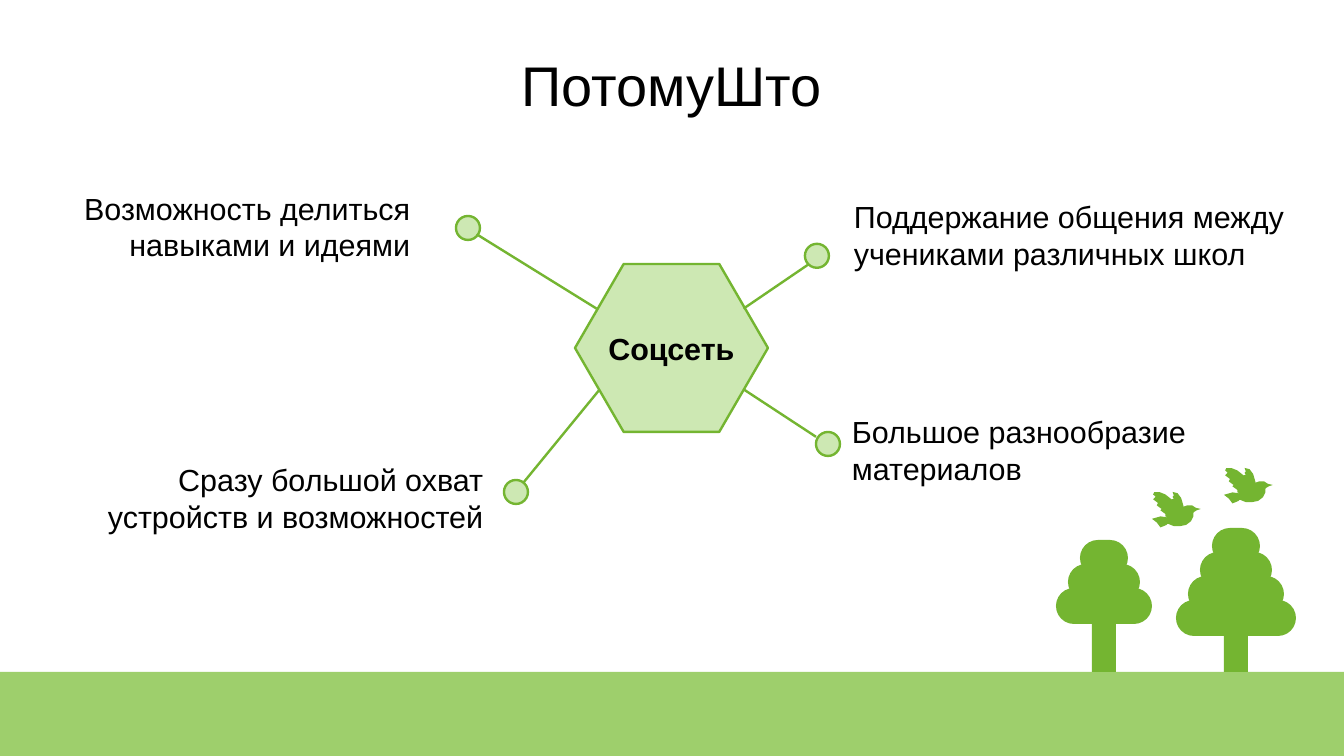
"""Build the slide on why a school social network is useful."""
from typing import NamedTuple

from lxml.etree import SubElement
from pptx import Presentation
from pptx.dml.color import RGBColor as Rgb
from pptx.enum.shapes import MSO_CONNECTOR as Link, MSO_SHAPE as Preset
from pptx.enum.text import MSO_ANCHOR as Anchor, PP_ALIGN as Align
from pptx.oxml.ns import qn
from pptx.shapes.autoshape import Shape
from pptx.slide import Slide
from pptx.text.text import TextFrame
from pptx.util import Cm, Pt

COLORS = {"ground": "9ECF6C", "leaf": "74B531", "pale": "CDE8B3", "text": "000000"}
FONT = "Arial"
OUTLINE = 0.05
DOT = 0.5
TRUNK_TOP, TRUNK_WIDTH, GROUND_TOP = 11.5, 0.5, 14
TIER_HEIGHT, TIER_STEP = 0.75, 0.5
WIDTH, HEIGHT = 28, 15.75
BIRD_UNITS_PER_CM = 39.37

Point = tuple[float, float]


class Area(NamedTuple):
    left: float
    top: float
    width: float
    height: float


class Tree(NamedTuple):
    center: float
    top: float
    tiers: int


class Reason(NamedTuple):
    text: str
    area: Area
    align: Align
    dot: Point
    dot_end: Point
    hub_end: Point


TREES = [Tree(25.75, 11, 4), Tree(23, 11.25, 3)]
BIRDS: list[Point] = [(24, 10.25), (25.5, 9.75)]
FAR_WING: list[Point] = [
    (24, 5), (21, 1), (17, 0), (18, 3), (17, 4), (18, 6), (16, 6), (18, 11), (20, 15),
    (25, 17), (26, 12)]
BODY: list[Point] = [
    (29, 11), (26, 12), (24, 15), (19, 10), (16, 6), (11, 2), (6, 0), (2, 0), (1, 2),
    (3, 4), (1, 6), (5, 9), (4, 11), (8, 14), (7, 15), (11, 18), (11, 20), (14, 21),
    (7, 20), (0, 22), (4, 25), (7, 29), (12, 27), (13, 26), (18, 28), (23, 28), (28, 27),
    (32, 24), (34, 20), (34, 17), (36, 15), (36, 13), (33, 11)]
BEAK: list[Point] = [(36, 13), (35, 13), (35, 16), (37, 15), (39.5, 14)]
HUB = Area(11.98, 5.5, 4.02, 3.5)
REASONS = [
    Reason("Поддержание общения между\nучениками различных школ",
           Area(17.54, 4, 9.7, 1.68), Align.LEFT, (17.02, 5.33), (16.84, 5.51), (15.49, 6.43)),
    Reason("Возможность делиться\nнавыками и идеями",
           Area(1.3, 3.83, 7.5, 1.68), Align.RIGHT, (9.75, 4.75), (9.93, 4.88), (12.43, 6.43)),
    Reason("Сразу большой охват\nустройств и возможностей",
           Area(1.8, 9.49, 8.52, 1.68), Align.RIGHT, (10.75, 10.25), (10.9, 10.06), (12.48, 8.13)),
    Reason("Большое разнообразие\nматериалов",
           Area(17.5, 8.49, 9.5, 1.68), Align.LEFT, (17.25, 9.25), (17, 9.1), (15.49, 8.11)),
]


def lengths(values: tuple[float, ...]) -> list[Cm]:
    return [Cm(value) for value in values]


def paint(shape: Shape, fill: str, line: str | None = None) -> None:
    shape.shadow.inherit = False
    shape.fill.solid()
    shape.fill.fore_color.rgb = Rgb.from_string(COLORS[fill])
    if line is None:
        shape.line.fill.background()
    else:
        shape.line.color.rgb = Rgb.from_string(COLORS[line])
        shape.line.width = Cm(OUTLINE)


def add_preset(page: Slide, preset: Preset, area: Area, fill: str,
               line: str | None = None) -> Shape:
    shape = page.shapes.add_shape(preset, *lengths(area))
    paint(shape, fill, line)
    return shape


def write(frame: TextFrame, text: str, size: float, align: Align, bold: bool = False) -> None:
    para = frame.paragraphs[0]
    para.text = text
    para.alignment = align
    para.font.name = FONT
    para.font.size = Pt(size)
    para.font.bold = bold
    para.font.color.rgb = Rgb.from_string(COLORS["text"])


def add_label(page: Slide, text: str, area: Area, size: float, align: Align) -> TextFrame:
    frame = page.shapes.add_textbox(*lengths(area)).text_frame
    frame.word_wrap = True
    write(frame, text, size, align)
    return frame


def draw_tree(page: Slide, tree: Tree) -> None:
    trunk = Area(tree.center - TRUNK_WIDTH / 2, TRUNK_TOP, TRUNK_WIDTH, GROUND_TOP - TRUNK_TOP)
    add_preset(page, Preset.RECTANGLE, trunk, "leaf")
    for tier in reversed(range(tree.tiers)):
        width = 1 + tier * TIER_STEP
        area = Area(tree.center - width / 2, tree.top + tier * TIER_STEP, width, TIER_HEIGHT)
        crown = add_preset(page, Preset.ROUNDED_RECTANGLE, area, "leaf")
        crown.adjustments[0] = 0.5


def draw_bird(page: Slide, corner: Point) -> None:
    for points in (FAR_WING, BODY, BEAK):
        builder = page.shapes.build_freeform(*points[0], scale=Cm(1) / BIRD_UNITS_PER_CM)
        builder.add_line_segments(points[1:], close=True)
        paint(builder.convert_to_shape(*lengths(corner)), "leaf")


def draw_hub(page: Slide) -> None:
    hub = add_preset(page, Preset.HEXAGON, HUB, "pale", "leaf")
    hub.adjustments[0] = 0.29
    hub.text_frame.word_wrap = False
    hub.text_frame.vertical_anchor = Anchor.MIDDLE
    write(hub.text_frame, "Соцсеть", 18, Align.CENTER, bold=True)


def draw_reason(page: Slide, reason: Reason) -> None:
    add_label(page, reason.text, reason.area, 18, reason.align)
    left, top = (middle - DOT / 2 for middle in reason.dot)
    add_preset(page, Preset.OVAL, Area(left, top, DOT, DOT), "pale", "leaf")
    link = page.shapes.add_connector(
        Link.STRAIGHT, *lengths(reason.dot_end + reason.hub_end))
    link.line.color.rgb = Rgb.from_string(COLORS["leaf"])
    link.line.width = Cm(OUTLINE)
    SubElement(link._element.spPr, qn("a:effectLst"))


def main() -> None:
    deck = Presentation()
    deck.slide_width, deck.slide_height = lengths((WIDTH, HEIGHT))
    page = deck.slides.add_slide(deck.slide_layouts[6])

    ground = Area(0, GROUND_TOP, WIDTH, HEIGHT - GROUND_TOP)
    add_preset(page, Preset.RECTANGLE, ground, "ground")
    for tree in TREES:
        draw_tree(page, tree)
    for corner in BIRDS:
        draw_bird(page, corner)

    title = add_label(page, "ПотомуШто", Area(1.5, 0.5, 25, 2.5), 33, Align.CENTER)
    title.vertical_anchor = Anchor.MIDDLE
    title.margin_left = title.margin_right = title.margin_top = title.margin_bottom = 0

    draw_hub(page)
    for reason in REASONS:
        draw_reason(page, reason)
    deck.save("out.pptx")


if __name__ == "__main__":
    main()
